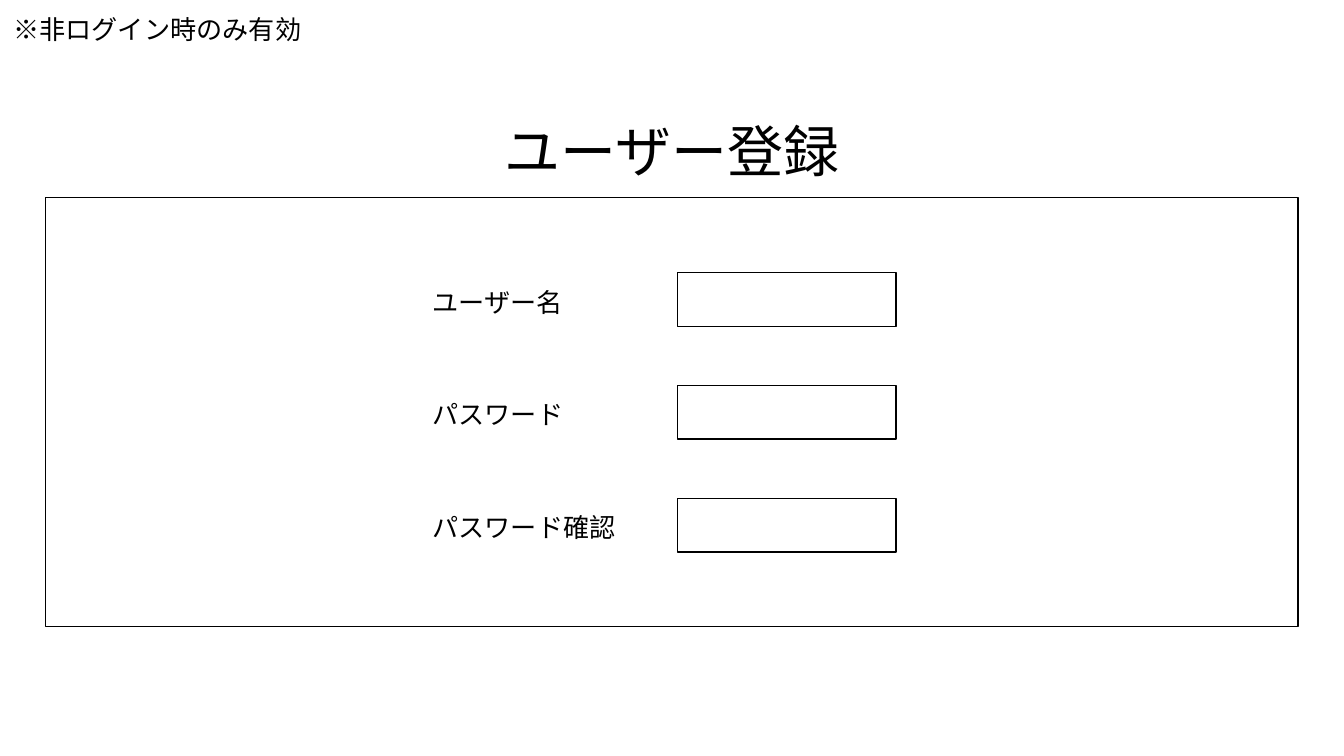
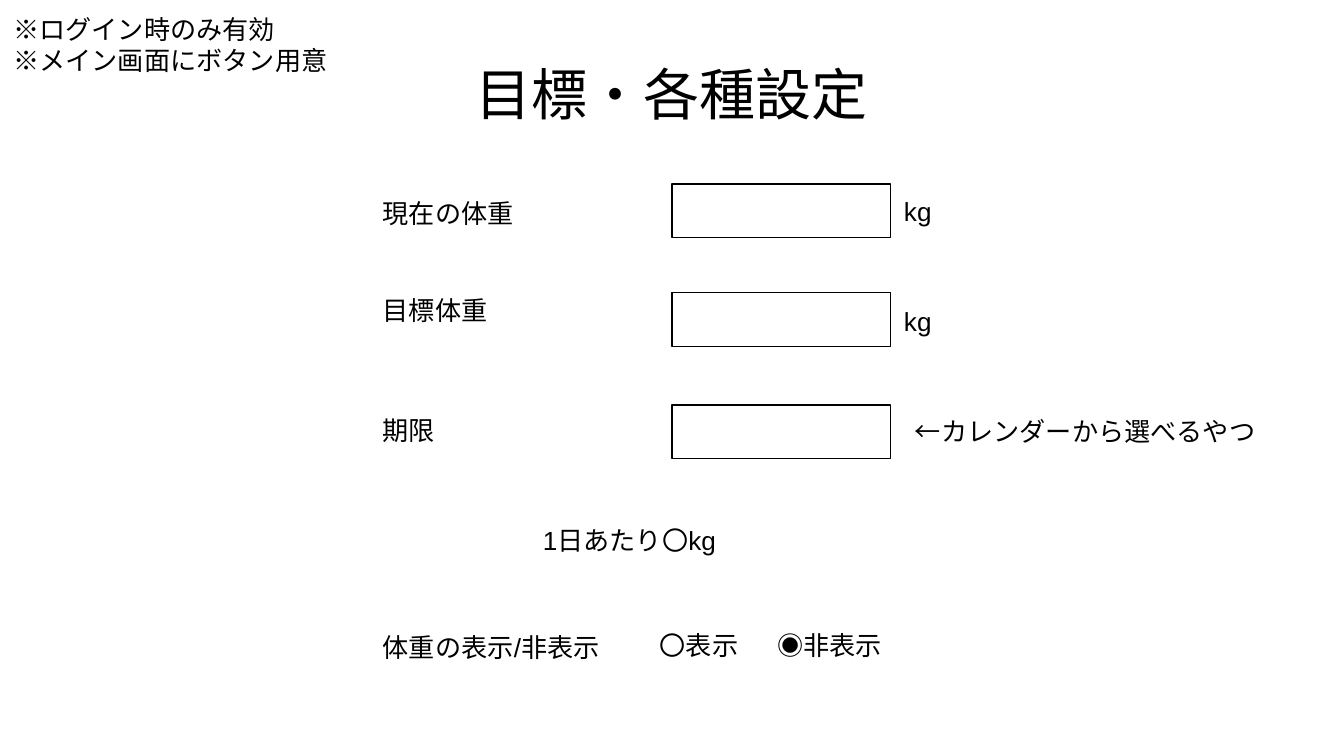
from pptx import Presentation
from pptx.dml.color import RGBColor
from pptx.enum.shapes import MSO_SHAPE as Preset
from pptx.enum.text import MSO_ANCHOR as Anchor, MSO_AUTO_SIZE as AutoSize, PP_ALIGN as Align
from pptx.util import Pt

COLORS = {"ink": "000000", "paper": "FFFFFF"}
FONT = "Arial"
TITLE_SIZE, BODY_SIZE = 30, 14
INSET = 7.2
MARGIN, CONTENT_W = 24.5, 671
ROW_H, FIELD_W = 28.8, 117.2
NOTE_H = 31.5


class FormDeck:
    """Holds the shared style and the slide being built."""

    def __init__(self):
        self.prs = Presentation()
        self.prs.slide_width, self.prs.slide_height = Pt(720), Pt(405)
        self.slide = None

    def fill_text(self, frame, text, size, align=Align.LEFT, anchor=Anchor.TOP):
        frame.text = text
        frame.word_wrap = True
        frame.auto_size = AutoSize.NONE
        frame.vertical_anchor = anchor
        frame.margin_left = frame.margin_right = Pt(INSET)
        frame.margin_top = frame.margin_bottom = Pt(INSET)
        for paragraph in frame.paragraphs:
            paragraph.alignment = align
            for run in paragraph.runs:
                run.font.name, run.font.size = FONT, Pt(size)
                run.font.color.rgb = RGBColor.from_string(COLORS["ink"])

    def page(self, title, top):
        self.slide = self.prs.slides.add_slide(self.prs.slide_layouts[5])
        heading = self.slide.shapes.title
        heading.left, heading.top = Pt(MARGIN), Pt(top)
        heading.width, heading.height = Pt(CONTENT_W), Pt(54.7)
        self.fill_text(heading.text_frame, title, TITLE_SIZE, Align.CENTER, Anchor.BOTTOM)

    def text(self, text, left, top, width, height=ROW_H):
        box = self.slide.shapes.add_textbox(Pt(left), Pt(top), Pt(width), Pt(height))
        self.fill_text(box.text_frame, text, BODY_SIZE)

    def box(self, left, top, width=FIELD_W, height=ROW_H, line="ink"):
        outline = self.slide.shapes.add_shape(
            Preset.RECTANGLE, Pt(left), Pt(top), Pt(width), Pt(height))
        outline.shadow.inherit = False
        outline.fill.background()
        outline.line.color.rgb = RGBColor.from_string(COLORS[line])
        outline.line.width = Pt(0.75)
        return outline

    def callout(self, text, left, top, width, height=NOTE_H):
        frame = self.box(left, top, width, height, line="paper").text_frame
        self.fill_text(frame, text, BODY_SIZE)


deck = FormDeck()

# User registration
deck.page("ユーザー登録", 51.1)
deck.box(MARGIN, 105.8, CONTENT_W, 229.9)
registration_rows = [("ユーザー名", 85), ("パスワード", 85), ("パスワード確認", 113.2)]
for row, (label, label_w) in enumerate(registration_rows):
    top = 146 + row * 60.5
    deck.text(label, 224.6, top, label_w)
    deck.box(362.9, top)
deck.text("※非ログイン時のみ有効", 0, 0, 170, NOTE_H)

# Goal and settings
LABEL_X, FIELD_X = 198, 360
deck.page("目標・各種設定", 20.2)
# Label, label top, field top, unit top
setting_rows = [
    ("現在の体重", 98.6, 98.6, 97.2),
    ("目標体重", 150.5, 156.8, 156.4),
    ("期限", 214.6, 217, None),
]
for label, label_top, field_top, unit_top in setting_rows:
    deck.text(label, LABEL_X, label_top, 85)
    deck.box(FIELD_X, field_top)
    if unit_top is not None:
        deck.text("kg", FIELD_X + FIELD_W, unit_top, 31, NOTE_H)
deck.callout("←カレンダーから選べるやつ", 483.1, 215.3, 225.4)
deck.text("1日あたり〇kg", 283.7, 273.6, FIELD_W)

# Weight visibility choice
deck.text("体重の表示/非表示", LABEL_X, 331.2, 137.5)
for choice, left, width in [("〇表示", 346.3, 63.4), ("◉非表示", 409.2, 73.4)]:
    deck.text(choice, left, 329.8, width, NOTE_H)
deck.text("※ログイン時のみ有効\n※メイン画面にボタン用意", 0, 0, 193, 48.2)

deck.prs.save("out.pptx")
